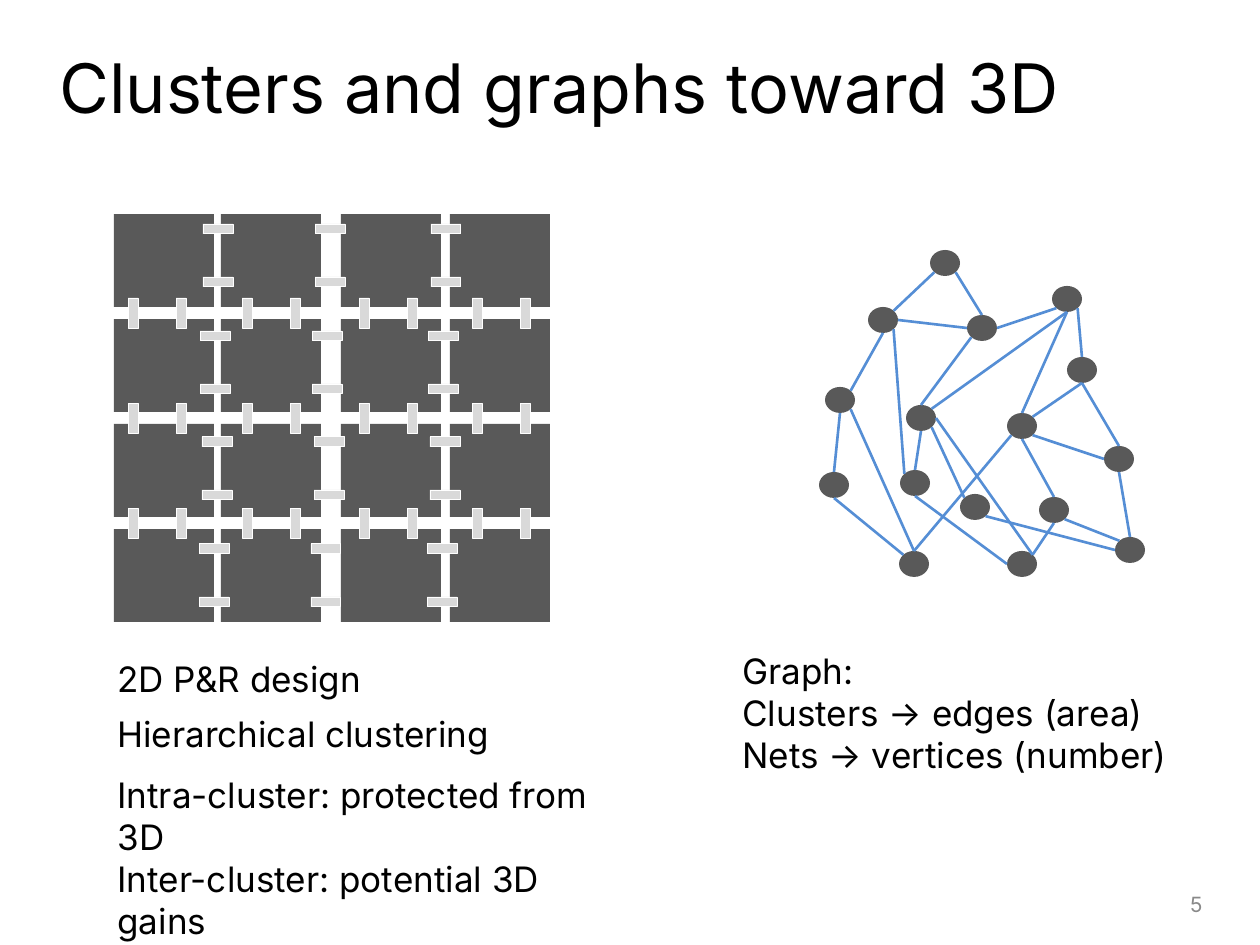
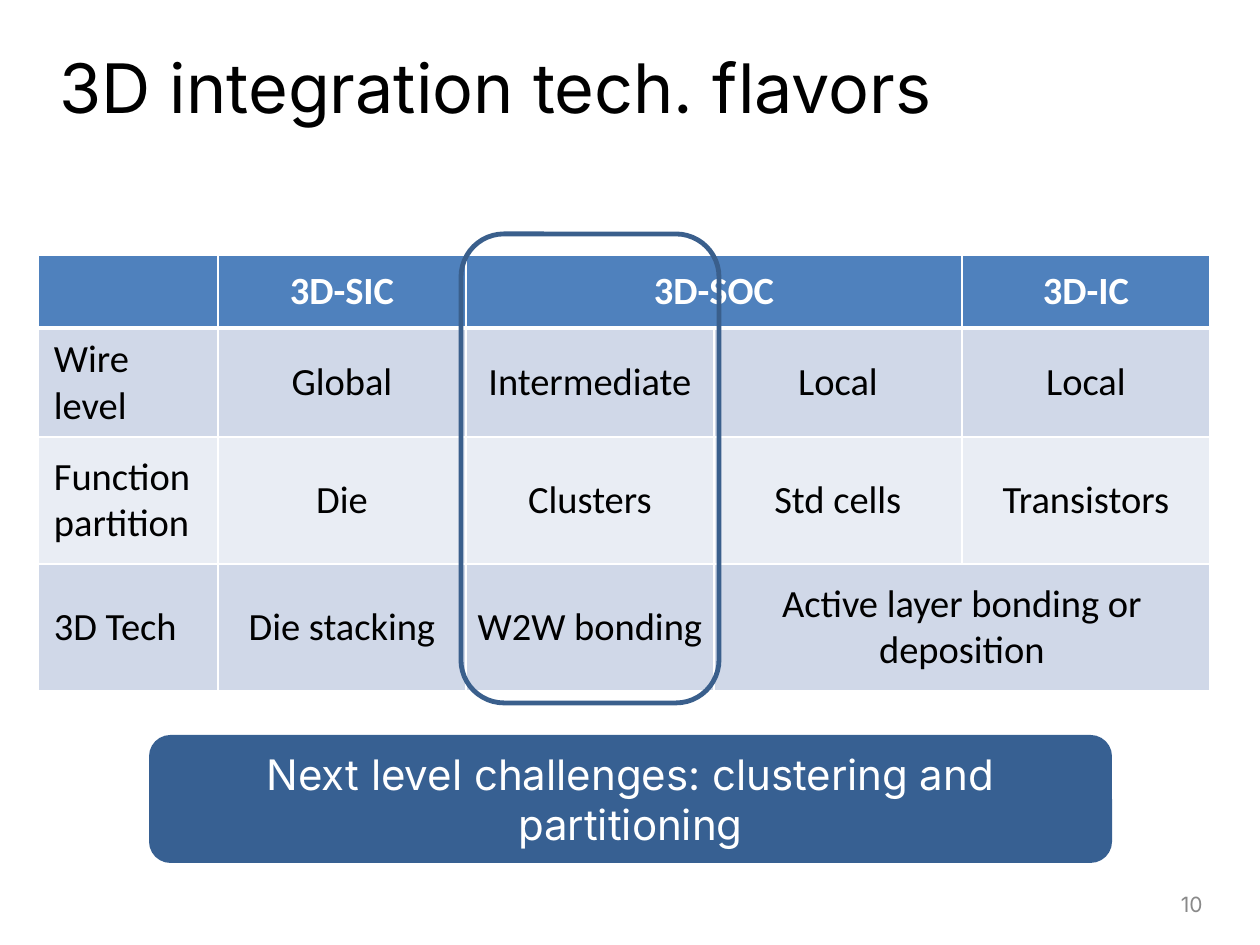
"""Two slides on clustering for 3D chip integration."""
from dataclasses import dataclass
from itertools import product
from math import sqrt
from typing import NamedTuple

from lxml import etree
from pptx import Presentation
from pptx.dml.color import RGBColor
from pptx.enum.shapes import MSO_CONNECTOR, MSO_SHAPE
from pptx.enum.text import MSO_ANCHOR, PP_ALIGN
from pptx.oxml.ns import qn
from pptx.util import Emu, Pt

LINE = MSO_CONNECTOR.STRAIGHT
RECT, ROUND, OVAL = MSO_SHAPE.RECTANGLE, MSO_SHAPE.ROUNDED_RECTANGLE, MSO_SHAPE.OVAL
TOP, MIDDLE = MSO_ANCHOR.TOP, MSO_ANCHOR.MIDDLE
LEFT, CENTER, RIGHT = PP_ALIGN.LEFT, PP_ALIGN.CENTER, PP_ALIGN.RIGHT
EMU_PER_PX = 914400 / 126


@dataclass(frozen=True)
class Theme:
    """Colours, fonts and type sizes of the deck."""
    black: str = "000000"
    white: str = "FFFFFF"
    muted: str = "898989"
    cluster: str = "595959"
    bridge: str = "D9D9D9"
    edge: str = "558ED5"
    header: str = "4F81BD"
    bands: tuple = ("D0D8E8", "E9EDF4")
    callout: str = "376092"
    outline: str = "3A5F8C"
    font: str = "Inter"
    table_font: str = "Calibri"
    title_size: int = 39
    callout_size: int = 24
    table_size: int = 22
    body_size: int = 20
    number_size: int = 12


class Box(NamedTuple):
    """Left, top, width and height in pixels."""
    x: float
    y: float
    w: float
    h: float


class Style(NamedTuple):
    """Look of a run of text."""
    size: int
    color: str
    font: str
    bold: bool = False


class Edge(NamedTuple):
    """A graph edge: node and compass side at both ends."""
    start: str
    start_side: str
    end: str
    end_side: str


class Entry(NamedTuple):
    """A table cell's text and the columns it spans."""
    text: str
    span: int = 1


T = Theme()
BODY = Style(T.body_size, T.black, T.font)

TITLE_BOX = Box(47, 38, 1072, 97)
NUMBER_BOX = Box(921, 887, 294, 34)

# Floor plan: four by four clusters joined by small bridges
CLUSTER_W, CLUSTER_H, ROW_STEP = 100, 93, 105
CLUSTER_XS = (114, 221, 341, 450)
CLUSTER_TOP = 214
BRIDGE_W, BRIDGE_H = 30, 10
SIDE_XS = (203, 315, 431)
SIDE_ROWS = ((224, 0), (331, -3), (437, -1), (544, -4))  # top, shift in x
SIDE_GAP = 53
STACK_XS = (118, 232, 349, 462)
STACK_TOP, STACK_GAP = 308, 48

# Graph: node centres and the edges between them
NODE_W, NODE_H = 30, 26
NODES = {
    "a": (945, 263), "b": (883, 320), "c": (982, 328), "d": (1067, 299),
    "e": (1082, 370), "f": (840, 400), "g": (921, 418), "h": (1022, 426),
    "i": (1119, 459), "j": (834, 485), "k": (915, 483), "l": (975, 507),
    "m": (1054, 510), "n": (914, 564), "o": (1022, 564), "p": (1130, 550),
}
DIAG = 1 / sqrt(2)
SIDES = {
    "N": (0, -1), "S": (0, 1), "E": (1, 0), "W": (-1, 0),
    "NE": (DIAG, -DIAG), "NW": (-DIAG, -DIAG),
    "SE": (DIAG, DIAG), "SW": (-DIAG, DIAG),
}
EDGES = [Edge(*text.split()) for text in (
    "a SE c N", "c E d SW", "a SW b NE", "d SE e N", "d S h N", "d S g NE",
    "b E c W", "b S f NE", "b SE k NW", "c SW g N", "f S j N", "g SE l NW",
    "k N g S", "e S h NE", "e S i N", "i W h SE", "h S m N", "o NE g E",
    "n N h SW", "i S p N", "m SE p NW", "o NE m S", "n NW j S", "n N f SE",
    "o W k S", "p W l SE",
)]

GRAPH_NOTE = (Box(730, 643, 475, 140),
              ["Graph:", "Clusters → edges (area)", "Nets → vertices (number)"])
PLAN_NOTES = [
    (Box(105, 767, 525, 97),
     ["Intra-cluster: protected from 3D", "Inter-cluster: potential 3D gains"]),
    (Box(105, 706, 456, 55), ["Hierarchical clustering"]),
    (Box(105, 651, 436, 55), ["2D P&R design"]),
]

# Table of integration technologies
TABLE_X, TABLE_Y = 38, 255
COLS = (180, 248, 248, 248, 248)
ROWS = (73, 109, 127, 127)
ENTRIES = [
    [Entry(""), Entry("3D-SIC"), Entry("3D-SOC", 2), Entry("3D-IC")],
    [Entry("Wire level"), Entry("Global"), Entry("Intermediate"),
     Entry("Local"), Entry("Local")],
    [Entry("Function partition"), Entry("Die"), Entry("Clusters"),
     Entry("Std cells"), Entry("Transistors")],
    [Entry("3D Tech"), Entry("Die stacking"), Entry("W2W bonding"),
     Entry("Active layer bonding or deposition", 2)],
]


def px(value: float) -> Emu:
    """Turn pixels into EMU."""
    return Emu(round(value * EMU_PER_PX))


def rgb(color: str) -> RGBColor:
    """Turn a hex string into a colour."""
    return RGBColor.from_string(color)


def write(tf, lines: list[str], style: Style, align=LEFT) -> None:
    """Fill a text frame with one paragraph per line."""
    tf.text = "\n".join(lines)
    for p in tf.paragraphs:
        p.alignment = align
        for r in p.runs:
            r.font.size, r.font.name = Pt(style.size), style.font
            r.font.bold = style.bold
            r.font.color.rgb = rgb(style.color)


def add_text(s, box: Box, lines: list[str], style: Style, align=LEFT, anchor=TOP) -> None:
    """Add a wrapping text box."""
    tf = s.shapes.add_textbox(*map(px, box)).text_frame
    tf.word_wrap, tf.vertical_anchor = True, anchor
    write(tf, lines, style, align)


def add_shape(s, kind, box: Box, fill: str = "", line: str = "", width: float = 0.5):
    """Add a flat preset shape; an empty colour means none."""
    sp = s.shapes.add_shape(kind, *map(px, box))
    sp.shadow.inherit = False
    if fill:
        sp.fill.solid()
        sp.fill.fore_color.rgb = rgb(fill)
    else:
        sp.fill.background()
    if line:
        sp.line.color.rgb, sp.line.width = rgb(line), Pt(width)
    else:
        sp.line.fill.background()
    return sp


def add_base(prs, title: str, number: int):
    """Add a blank slide with its title and page number."""
    s = prs.slides.add_slide(prs.slide_layouts[6])
    add_text(s, TITLE_BOX, [title], Style(T.title_size, T.black, T.font), anchor=MIDDLE)
    add_text(s, NUMBER_BOX, [str(number)], Style(T.number_size, T.muted, T.font),
             RIGHT, MIDDLE)
    return s


def add_bridge(s, x: float, y: float, rotation: float = 0) -> None:
    """Add one small bridge between two clusters."""
    sp = add_shape(s, RECT, Box(x, y, BRIDGE_W, BRIDGE_H), T.bridge, T.white)
    sp.rotation = rotation


def add_floor_plan(s) -> None:
    """Draw the clusters, then the bridges across and down."""
    for row, x in product(range(4), CLUSTER_XS):
        add_shape(s, RECT, Box(x, CLUSTER_TOP + row * ROW_STEP, CLUSTER_W, CLUSTER_H),
                  T.cluster)
    for (y, shift), x, i in product(SIDE_ROWS, SIDE_XS, range(2)):
        add_bridge(s, x + shift, y + i * SIDE_GAP)
    for row, x, i in product(range(3), STACK_XS, range(2)):
        add_bridge(s, x + i * STACK_GAP, STACK_TOP + row * ROW_STEP, 90)


def add_nodes(s) -> None:
    """Draw the graph's nodes."""
    for x, y in NODES.values():
        add_shape(s, OVAL, Box(x - NODE_W / 2, y - NODE_H / 2, NODE_W, NODE_H), T.cluster)


def node_point(node: str, side: str) -> tuple[Emu, Emu]:
    """Find the point on a node's rim at a compass side."""
    (x, y), (dx, dy) = NODES[node], SIDES[side]
    return px(x + dx * NODE_W / 2), px(y + dy * NODE_H / 2)


def add_edges(s) -> None:
    """Draw the graph's edges."""
    for edge in EDGES:
        line = s.shapes.add_connector(LINE, *node_point(edge.start, edge.start_side),
                                      *node_point(edge.end, edge.end_side))
        line.line.color.rgb, line.line.width = rgb(T.edge), Pt(1.5)
        etree.SubElement(line._element.spPr, qn("a:effectLst"))


def set_borders(cell, bottom: float) -> None:
    """Give a cell white borders, the lower one of its own width."""
    tc_pr = cell._tc.get_or_add_tcPr()
    for i, (side, width) in enumerate((("L", 1), ("R", 1), ("T", 1), ("B", bottom))):
        ln = etree.Element(qn(f"a:ln{side}"), w=str(Pt(width)))
        fill = etree.SubElement(ln, qn("a:solidFill"))
        etree.SubElement(fill, qn("a:srgbClr"), val=T.white)
        tc_pr.insert(i, ln)


def add_tech_table(s) -> None:
    """Draw the table of technologies."""
    frame = s.shapes.add_table(len(ROWS), len(COLS), px(TABLE_X), px(TABLE_Y),
                               px(sum(COLS)), px(sum(ROWS)))
    table = frame.table
    for column, width in zip(table.columns, COLS):
        column.width = px(width)
    for row, height in zip(table.rows, ROWS):
        row.height = px(height)
    for i, entries in enumerate(ENTRIES):
        head = i == 0
        style = Style(T.table_size, T.white if head else T.black, T.table_font, head)
        for j in range(len(COLS)):
            cell = table.cell(i, j)
            cell.fill.solid()
            cell.fill.fore_color.rgb = rgb(T.header if head else T.bands[(i - 1) % 2])
            set_borders(cell, 3 if head else 1)
        j = 0
        for entry in entries:
            cell = table.cell(i, j)
            if entry.span > 1:
                cell.merge(table.cell(i, j + entry.span - 1))
            cell.vertical_anchor = MIDDLE
            wide = head or j == 0
            cell.margin_left = cell.margin_right = px(16 if wide else 6)
            cell.margin_top = cell.margin_bottom = px(8 if wide else 6)
            write(cell.text_frame, [entry.text], style, CENTER if head or j else LEFT)
            j += entry.span


def build_graph_slide(prs) -> None:
    """Build the slide on clusters and graphs."""
    s = add_base(prs, "Clusters and graphs toward 3D", 5)
    add_nodes(s)
    add_text(s, *GRAPH_NOTE, BODY)
    add_floor_plan(s)
    add_edges(s)
    for box, lines in PLAN_NOTES:
        add_text(s, box, lines, BODY)


def build_table_slide(prs) -> None:
    """Build the slide on integration technologies."""
    s = add_base(prs, "3D integration tech. flavors", 10)
    add_tech_table(s)
    callout = add_shape(s, ROUND, Box(149, 735, 963, 128), T.callout)
    tf = callout.text_frame
    tf.word_wrap, tf.vertical_anchor = True, MIDDLE
    write(tf, ["Next level challenges: clustering and partitioning"],
          Style(T.callout_size, T.white, T.font), CENTER)
    add_shape(s, ROUND, Box(461, 234, 258, 469), line=T.outline, width=2.75)


prs = Presentation()
prs.slide_width, prs.slide_height = px(1260), px(945)
build_graph_slide(prs)
build_table_slide(prs)
prs.save("out.pptx")
